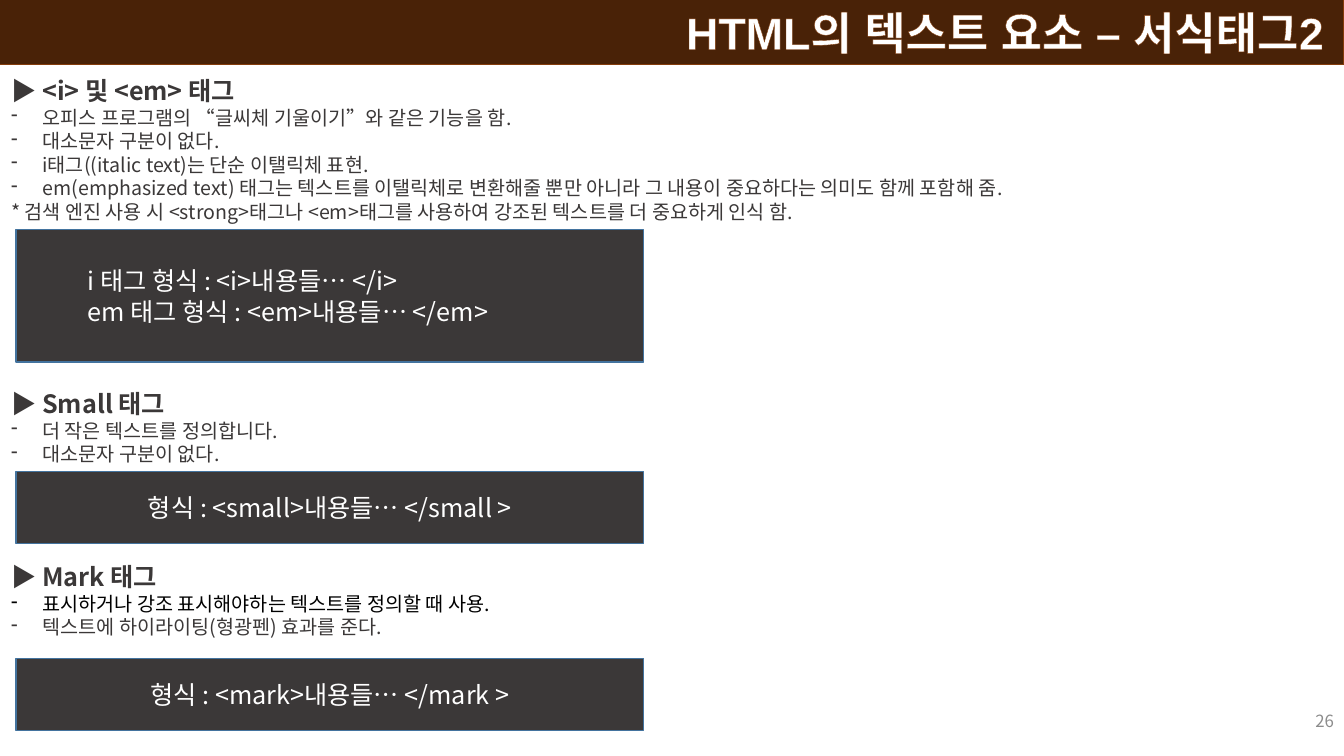
from lxml import etree
from pptx import Presentation
from pptx.dml.color import RGBColor
from pptx.enum.shapes import MSO_SHAPE
from pptx.enum.text import MSO_ANCHOR, PP_ALIGN
from pptx.oxml.ns import qn
from pptx.util import Inches, Pt

RECT = MSO_SHAPE.RECTANGLE
TOP, MIDDLE = MSO_ANCHOR.TOP, MSO_ANCHOR.MIDDLE
LEFT, CENTER, RIGHT = PP_ALIGN.LEFT, PP_ALIGN.CENTER, PP_ALIGN.RIGHT
KR = "Noto Sans CJK KR"
DARK, WHITE, BROWN = "3B3838", "FFFFFF", "843C0B"

prs = Presentation()
prs.slide_width, prs.slide_height = Inches(13.33), Inches(7.5)
s = prs.slides.add_slide(prs.slide_layouts[6])


def box(x, y, w, h, fill=None, line=None, weight=1, anchor=TOP, left=0.1, right=0.1):
    W, H = prs.slide_width, prs.slide_height
    at = [int(v * size / 100) for v, size in ((x, W), (y, H), (w, W), (h, H))]
    if fill:
        sp = s.shapes.add_shape(RECT, *at)
        sp.shadow.inherit = False
        sp.fill.solid()
        sp.fill.fore_color.rgb = RGBColor.from_string(fill)
        sp.line.color.rgb = RGBColor.from_string(line)
        sp.line.width = Pt(weight)
    else:
        sp = s.shapes.add_textbox(*at)
    tf = sp.text_frame
    tf.word_wrap = True
    tf.vertical_anchor = anchor
    tf.margin_left, tf.margin_right = Inches(left), Inches(right)
    return tf


def write(tf, text, size=18, color=DARK, bold=False, font=KR, align=LEFT, bullet=False):
    p = tf.paragraphs[0] if not tf.text else tf.add_paragraph()
    p.alignment = align
    if bullet:
        pPr = p._p.get_or_add_pPr()
        pPr.set("marL", str(Inches(0.31)))
        pPr.set("indent", str(-Inches(0.31)))
        etree.SubElement(pPr, qn("a:buFontTx"))
        etree.SubElement(pPr, qn("a:buChar")).set("char", "-")
    r = p.add_run()
    r.text = text
    r.font.size, r.font.bold, r.font.name = Pt(size), bold, font
    r.font.color.rgb = RGBColor.from_string(color)
    etree.SubElement(r._r.get_or_add_rPr(), qn("a:ea")).set("typeface", font)
    return r


tf = box(0, 0, 100, 8.6, BROWN and "492207", BROWN, 0.75, right=0.2)
r = write(tf, "HTML의 텍스트 요소 – 서식태그2", size=32, color=WHITE, bold=True, font="Arial", align=RIGHT)
ln = etree.Element(qn("a:ln"), w=str(Pt(0.75)))
etree.SubElement(etree.SubElement(ln, qn("a:solidFill")), qn("a:srgbClr")).set("val", BROWN)
r._r.get_or_add_rPr().insert(0, ln)

write(box(77.5, 92.7, 22.5, 5.3, anchor=MIDDLE), "26", size=12, color="8C8C8C", align=RIGHT)

sections = [
    (9.3, 20.7, "▶ <i> 및 <em> 태그", [
        ("오피스 프로그램의 “글씨체 기울이기”와 같은 기능을 함.", DARK, True),
        ("대소문자 구분이 없다.", DARK, True),
        ("i태그((italic text)는 단순 이탤릭체 표현.", DARK, True),
        ("em(emphasized text) 태그는 텍스트를 이탤릭체로 변환해줄 뿐만 아니라 "
         "그 내용이 중요하다는 의미도 함께 포함해 줌.", DARK, True),
        ("* 검색 엔진 사용 시 <strong>태그나 <em>태그를 사용하여 "
         "강조된 텍스트를 더 중요하게 인식 함.", DARK, False),
    ]),
    (50.7, 11.5, "▶ Small 태그", [
        ("더 작은 텍스트를 정의합니다.", DARK, True),
        ("대소문자 구분이 없다.", DARK, True),
    ]),
    (73.6, 11.5, "▶ Mark 태그", [
        ("표시하거나 강조 표시해야하는 텍스트를 정의할 때 사용.", "000000", True),
        ("텍스트에 하이라이팅(형광펜) 효과를 준다.", DARK, True),
    ]),
]
for y, h, heading, lines in sections:
    tf = box(0.1, y, 95.7, h)
    write(tf, heading, bold=True)
    for text, color, bullet in lines:
        write(tf, text, size=14, color=color, bullet=bullet)

formats = [
    (30.4, 17.5, LEFT, 0.71, ["i 태그 형식 : <i>내용들… </i>", "em 태그 형식 : <em>내용들… </em>"]),
    (62.4, 9.5, CENTER, 0.1, ["형식 : <small>내용들… </small >"]),
    (87.1, 9.5, CENTER, 0.1, ["형식 : <mark>내용들… </mark >"]),
]
for y, h, align, left, lines in formats:
    tf = box(1.2, y, 46.7, h, DARK, "43739E", anchor=MIDDLE, left=left)
    for text in lines:
        write(tf, text, color=WHITE, align=align)

prs.save("out.pptx")
